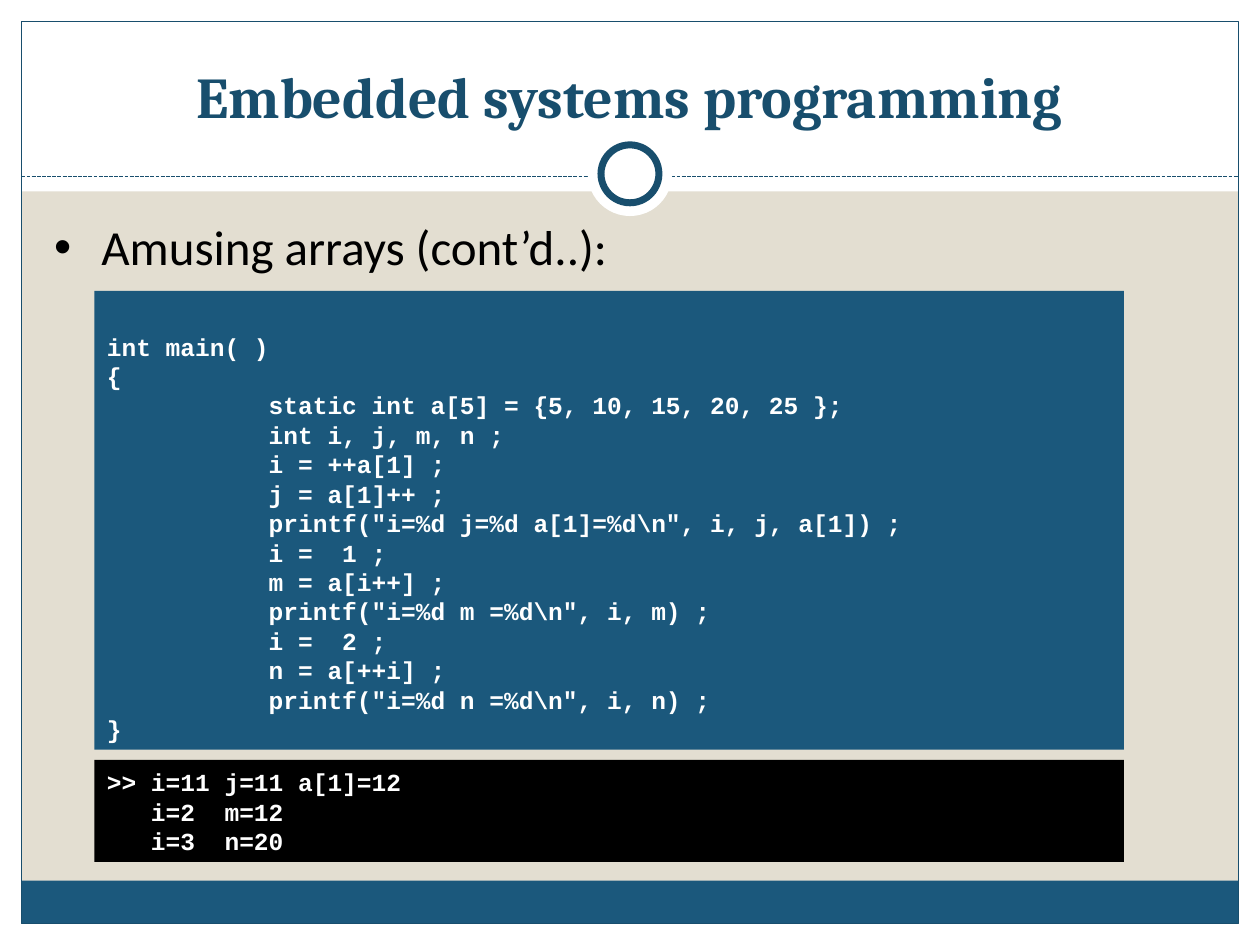
from dataclasses import dataclass
from typing import Optional

from lxml import etree
from pptx import Presentation
from pptx.dml.color import RGBColor
from pptx.enum.dml import MSO_LINE
from pptx.enum.shapes import MSO_CONNECTOR, MSO_SHAPE
from pptx.enum.text import MSO_ANCHOR, MSO_AUTO_SIZE, PP_ALIGN
from pptx.oxml.ns import qn
from pptx.util import Inches, Pt

RECT, OVAL = MSO_SHAPE.RECTANGLE, MSO_SHAPE.OVAL
LEFT, CENTER, JUSTIFY = PP_ALIGN.LEFT, PP_ALIGN.CENTER, PP_ALIGN.JUSTIFY
BOTTOM, TOP = MSO_ANCHOR.BOTTOM, MSO_ANCHOR.TOP

COLORS = {
    "sand": "E3DED1", "white": "FFFFFF", "black": "000000",
    "blue": "1B587C", "navy": "184E6D", "orange": "F07F09",
}
WIDE, HIGH = 10, 7.5
EDGE = 0.17
INNER = WIDE - 2 * EDGE
RULE = 1.4      # height of the dashed line
HUB = 1.38      # centre of the ring

CODE = r"""int main( )
{
           static int a[5] = {5, 10, 15, 20, 25 };
           int i, j, m, n ;
           i = ++a[1] ;
           j = a[1]++ ;
           printf("i=%d j=%d a[1]=%d\n", i, j, a[1]) ;
           i =  1 ;
           m = a[i++] ;
           printf("i=%d m =%d\n", i, m) ;
           i =  2 ;
           n = a[++i] ;
           printf("i=%d n =%d\n", i, n) ;
}"""
OUTPUT = """>> i=11 j=11 a[1]=12
   i=2  m=12
   i=3  n=20"""


@dataclass
class Block:
    x: float
    y: float
    w: float
    h: float
    fill: Optional[str] = None
    line: Optional[str] = None
    width: float = 0.75
    kind: int = RECT


def disc(size: float, **style) -> Block:
    """A circle centred on the ring's hub."""
    return Block((WIDE - size) / 2, HUB - size / 2, size, size, kind=OVAL, **style)


def paint(name: str) -> RGBColor:
    return RGBColor.from_string(COLORS[name])


def draw(slide, block: Block):
    shape = slide.shapes.add_shape(
        block.kind, *map(Inches, (block.x, block.y, block.w, block.h)))
    shape.shadow.inherit = False
    if block.fill:
        shape.fill.solid()
        shape.fill.fore_color.rgb = paint(block.fill)
    else:
        shape.fill.background()
    if block.line:
        shape.line.color.rgb = paint(block.line)
        shape.line.width = Pt(block.width)
    else:
        shape.line.fill.background()
    return shape


def write(shape, text: str, face: str, size: float, color: str,
          align: int, anchor: int, bold: bool = False) -> None:
    frame = shape.text_frame
    frame.text = text
    frame.word_wrap = True
    frame.auto_size = MSO_AUTO_SIZE.NONE
    frame.vertical_anchor = anchor
    for para in frame.paragraphs:
        para.alignment = align
        para.space_before = Pt(0)
        font = para.font
        font.name, font.size, font.bold = face, Pt(size), bold
        font.color.rgb = paint(color)


def place(slide, shape, x: float, y: float, w: float, h: float) -> None:
    """Move a placeholder and bring it to the front."""
    shape.left, shape.top, shape.width, shape.height = map(Inches, (x, y, w, h))
    slide.shapes._spTree.append(shape._element)


def dot(para) -> None:
    props = para._p.get_or_add_pPr()
    props.set("marL", str(Inches(0.3)))
    props.set("indent", str(-Inches(0.3)))
    tint = etree.SubElement(props, qn("a:buClr"))
    etree.SubElement(tint, qn("a:srgbClr"), val=COLORS["orange"])
    etree.SubElement(props, qn("a:buSzPct"), val="85000")
    etree.SubElement(props, qn("a:buFont"), typeface="Calibri")
    etree.SubElement(props, qn("a:buChar"), char="●")


def dash(slide, y: float) -> None:
    line = slide.shapes.add_connector(
        MSO_CONNECTOR.STRAIGHT, *map(Inches, (EDGE, y, WIDE - EDGE, y)))
    line.line.color.rgb = paint("navy")
    line.line.width = Pt(0.75)
    line.line.dash_style = MSO_LINE.SQUARE_DOT
    etree.SubElement(line._element.spPr, qn("a:effectLst"))


def main() -> None:
    deck = Presentation()
    deck.slide_width, deck.slide_height = Inches(WIDE), Inches(HIGH)
    slide = deck.slides.add_slide(deck.slide_layouts[1])
    slide.background.fill.solid()
    slide.background.fill.fore_color.rgb = paint("sand")

    # White margins, footer band and frame
    for block in (
        Block(0, HIGH - EDGE, WIDE, EDGE, "white"),
        Block(0, 0, WIDE, 1.52, "white"),
        Block(0, 0, EDGE, HIGH, "white"),
        Block(WIDE - EDGE, 0, EDGE, HIGH, "white"),
        Block(EDGE, 6.99, INNER, 0.34, "blue"),
        Block(EDGE, EDGE, INNER, HIGH - 2 * EDGE, line="navy"),
    ):
        draw(slide, block)

    # Dashed rule with its ring
    dash(slide, RULE)
    draw(slide, disc(0.67, fill="white"))
    draw(slide, disc(0.46, fill="white", line="navy", width=4))

    # Title and bullet
    title, body = slide.placeholders
    place(slide, title, 0.33, 0.25, 9.33, 0.83)
    write(title, "Embedded systems programming", "Cambria", 33, "navy",
          CENTER, BOTTOM, True)
    place(slide, body, 0.33, 1.67, 9.3, 5)
    dot(body.text_frame.paragraphs[0])
    write(body, "Amusing arrays (cont’d..):", "Calibri", 28, "black", JUSTIFY, TOP)

    # Program and its output
    for text, y, h, fill in ((CODE, 2.31, 3.64, "blue"),
                             (OUTPUT, 6.03, 0.81, "black")):
        panel = draw(slide, Block(0.75, y, 8.17, h, fill))
        write(panel, text, "Courier New", 14, "white", LEFT, BOTTOM, True)

    deck.save("out.pptx")


if __name__ == "__main__":
    main()
